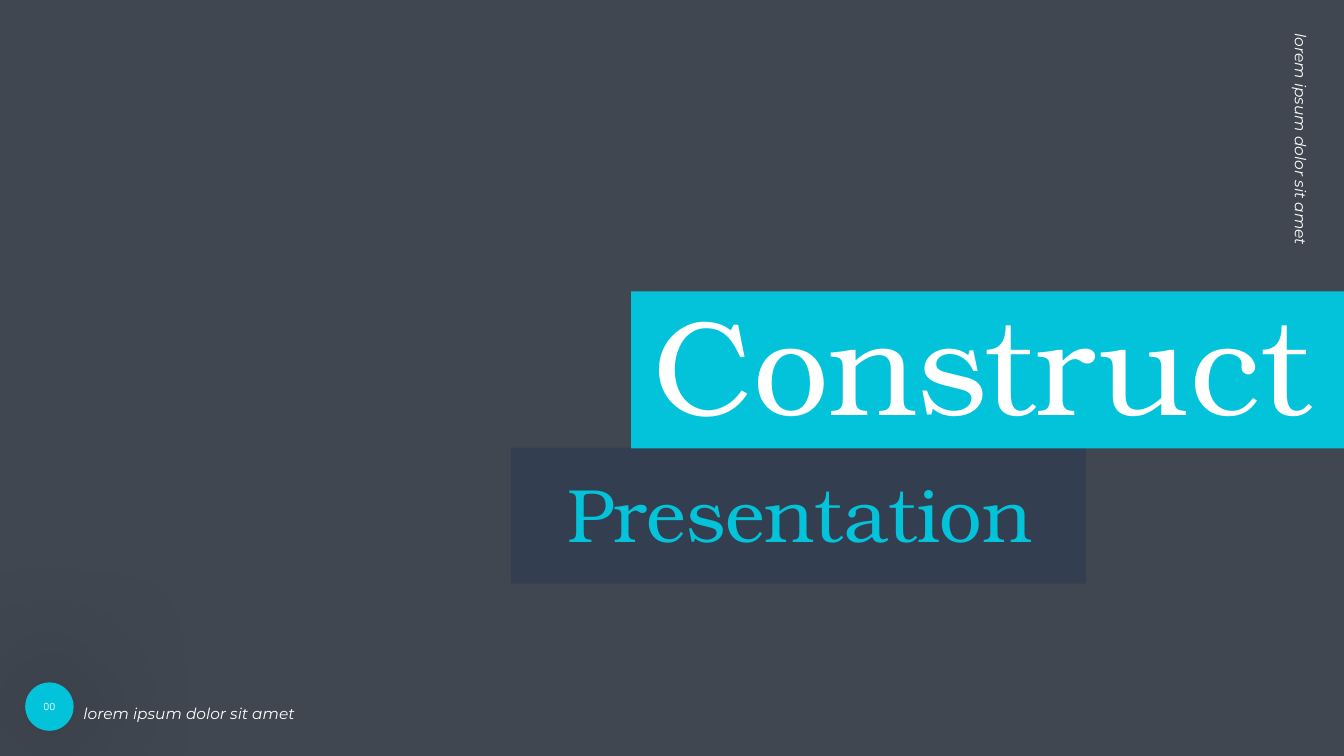
import pptx
import pptx.util
import pptx.dml.color
import pptx.enum.shapes
import pptx.enum.text
import pptx.oxml.ns
from lxml import etree
from pptx.util import Inches, Pt

COLORS = {"paper": "F2F2F2", "overlay": "222A35", "accent": "03C3DA",
          "navy": "333F50", "white": "FFFFFF", "shadow": "000000"}
SLIDE_SIZE = (13.33, 7.5)
TAGLINE = "lorem ipsum dolor sit amet"
# box, rotation
TAGLINE_PLACES = [
    ((11.36, 1.66, 3.2, 0.35), 90),
    ((0.73, 6.84, 3.2, 0.35), 0),
]
# text, text box, size, text colour, band box, band colour
TITLES = [
    ("Presentation", (5.52, 4.58, 4.82, 1.01), 54, "accent", (5.07, 4.44, 5.7, 1.35), "navy"),
    ("Construct", (6.16, 2.73, 7.17, 1.72), 96, "white", (6.26, 2.89, 7.08, 1.56), "accent"),
]
PAGE_NUMBER = "00"
PAGE_BADGE = (0.25, 6.77, 0.48, 0.48)


def rgb(name):
    return pptx.dml.color.RGBColor.from_string(COLORS[name])


def add_alpha(color_element, percent):
    etree.SubElement(color_element, pptx.oxml.ns.qn("a:alpha"), val=str(percent * 1000))


def add_block(slide, preset, box, color):
    block = slide.shapes.add_shape(preset, *map(Inches, box))
    block.shadow.inherit = False
    block.fill.solid()
    block.fill.fore_color.rgb = rgb(color)
    block.line.fill.background()
    return block


def write(shape, text, size, font, color, italic=False, spacing=None, centered=False):
    frame = shape.text_frame
    frame.word_wrap = True
    frame.text = text
    paragraph = frame.paragraphs[0]
    if spacing:
        paragraph.line_spacing = spacing
    if centered:
        paragraph.alignment = pptx.enum.text.PP_ALIGN.CENTER
        frame.vertical_anchor = pptx.enum.text.MSO_ANCHOR.MIDDLE
    run_font = paragraph.runs[0].font
    run_font.size = Pt(size)
    run_font.name = font
    run_font.italic = italic
    run_font.color.rgb = rgb(color)


def add_glow(shape, blur, percent):
    """Put a soft, centred shadow around the shape."""
    qn = pptx.oxml.ns.qn
    effects = shape._element.spPr.find(qn("a:effectLst"))
    shadow = etree.SubElement(effects, qn("a:outerShdw"), blurRad=str(Pt(blur)),
                              dist="0", dir="0", algn="ctr", rotWithShape="0")
    add_alpha(etree.SubElement(shadow, qn("a:srgbClr"), val=COLORS["shadow"]), percent)


def main():
    deck = pptx.Presentation()
    deck.slide_width, deck.slide_height = map(Inches, SLIDE_SIZE)
    slide = deck.slides.add_slide(deck.slide_layouts[6])
    slide.background.fill.solid()
    slide.background.fill.fore_color.rgb = rgb("paper")
    presets = pptx.enum.shapes.MSO_SHAPE

    overlay = add_block(slide, presets.RECTANGLE, (0, 0, *SLIDE_SIZE), "overlay")
    add_alpha(overlay._element.spPr.find(".//" + pptx.oxml.ns.qn("a:srgbClr")), 85)

    badge = add_block(slide, presets.OVAL, PAGE_BADGE, "accent")
    add_glow(badge, 94, 72)
    write(badge, PAGE_NUMBER, 7, "Manrope", "white", centered=True)

    for box, rotation in TAGLINE_PLACES:
        tagline = slide.shapes.add_textbox(*map(Inches, box))
        tagline.rotation = rotation
        write(tagline, TAGLINE, 11, "Montserrat", "white", italic=True, spacing=1.5)

    for text, box, size, color, band, band_color in TITLES:
        add_block(slide, presets.RECTANGLE, band, band_color)
        title = slide.shapes.add_textbox(*map(Inches, box))
        write(title, text, size, "TeX Gyre Bonum", color, centered=True)

    deck.save("out.pptx")


if __name__ == "__main__":
    main()
